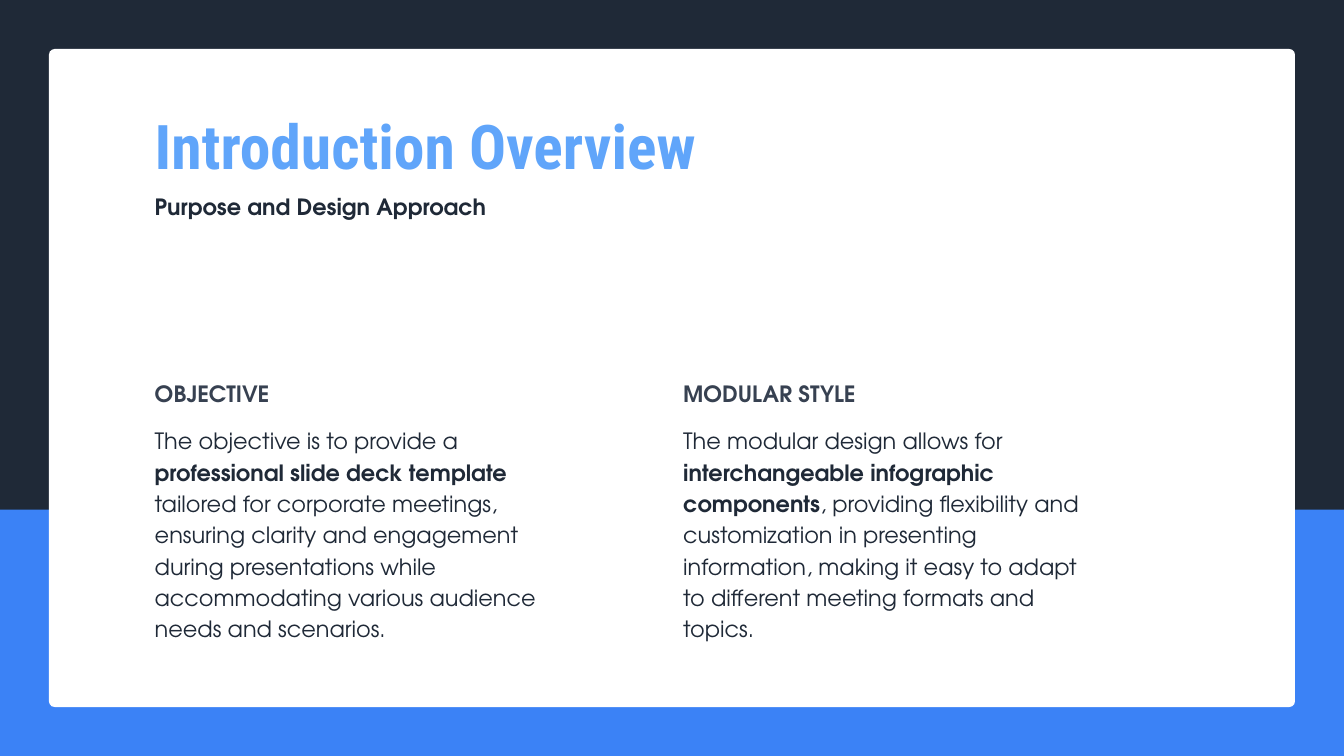
from dataclasses import dataclass

from pptx import Presentation
from pptx.dml.color import RGBColor
from pptx.enum.shapes import MSO_SHAPE
from pptx.enum.text import MSO_ANCHOR, MSO_AUTO_SIZE, PP_ALIGN
from pptx.oxml.ns import qn
from pptx.util import Pt

EMU = 9525  # one px at 96 px to the inch
WIDE, HIGH = 1920, 1080


@dataclass(frozen=True)
class Style:
    font: str
    size: int
    color: str
    bold: bool
    line: float


@dataclass(frozen=True)
class Theme:
    dark: str = "1F2937"
    band: str = "3B82F6"
    card: str = "FFFFFF"
    title: Style = Style("Roboto Condensed", 66, "60A5FA", True, 79.2)
    lead: Style = Style("TeX Gyre Adventor", 24, "1F2937", True, 33.6)
    head: Style = Style("TeX Gyre Adventor", 24, "374151", True, 33.6)
    body: Style = Style("TeX Gyre Adventor", 24, "1F2937", False, 33.6)


THEME = Theme()

# heading, body height, runs as (text, bold)
COLUMNS = [
    ("OBJECTIVE", 306, [
        ("The objective is to provide a ", False),
        ("professional slide deck template", True),
        (" tailored for corporate meetings, ensuring clarity and engagement "
         "during presentations while accommodating various audience needs "
         "and scenarios.", False)]),
    ("MODULAR STYLE", 262, [
        ("The modular design allows for ", False),
        ("interchangeable infographic components", True),
        (", providing flexibility and customization in presenting "
         "information, making it easy to adapt to different meeting formats "
         "and topics.", False)]),
]


def px(*values):
    return [value * EMU for value in values]


def place(shape, box):
    shape.left, shape.top, shape.width, shape.height = px(*box)


def write(shape, box, runs, style):
    """Fill a text shape with one plain, unbulleted paragraph."""
    place(shape, box)
    frame = shape.text_frame
    frame.word_wrap = True
    frame.auto_size = MSO_AUTO_SIZE.NONE
    frame.vertical_anchor = MSO_ANCHOR.TOP
    frame.margin_left = frame.margin_right = 0
    frame.margin_top = frame.margin_bottom = 0

    para = frame.paragraphs[0]
    para.alignment = PP_ALIGN.LEFT
    para.line_spacing = Pt(style.line)
    para.space_before = para.space_after = Pt(0)
    font = para.font
    font.name, font.size, font.bold = style.font, Pt(style.size), style.bold
    font.color.rgb = RGBColor.from_string(style.color)
    props = para._p.get_or_add_pPr()
    props.set("marL", "0")
    props.set("indent", "0")
    none = props.makeelement(qn("a:buNone"), {})
    props.insert_element_before(none, "a:tabLst", "a:defRPr", "a:extLst")

    for text, bold in runs:
        run = para.add_run()
        run.text = text
        run.font.bold = bold


def panel(slide, kind, box, color, layer):
    """Add a plain filled shape behind the text, at the given layer."""
    shape = slide.shapes.add_shape(kind, *px(*box))
    shape.shadow.inherit = False
    shape.fill.solid()
    shape.fill.fore_color.rgb = RGBColor.from_string(color)
    shape.line.fill.background()
    slide.shapes.element.insert(2 + layer, shape.element)
    return shape


def backdrop(slide, box):
    left, top, width, height = box
    fill = slide.background.fill
    fill.solid()
    fill.fore_color.rgb = RGBColor.from_string(THEME.dark)
    split, edge, radius = 728, 70, 8
    panel(slide, MSO_SHAPE.RECTANGLE,
          (left, top + split, width, height - split), THEME.band, 0)
    inner = height - 2 * edge
    card = panel(slide, MSO_SHAPE.ROUNDED_RECTANGLE,
                 (left + edge, top + edge, width - 2 * edge, inner),
                 THEME.card, 1)
    card.adjustments[0] = radius / inner


def header(slide, box, title, lead):
    left, top, width, _ = box
    write(slide.shapes.title, (left, top, width, 115),
          [(title, True)], THEME.title)
    write(slide.shapes.add_textbox(0, 0, 0, 0), (left, top + 116, width, 42),
          [(lead, True)], THEME.lead)


def column(head, body, box, label, runs):
    left, top, width, height = box
    write(head, (left, top, width, 42), [(label, True)], THEME.head)
    write(body, (left, top + 68, width, height), runs, THEME.body)


def main():
    deck = Presentation()
    deck.slide_width, deck.slide_height = px(WIDE, HIGH)
    slide = deck.slides.add_slide(deck.slide_layouts.get_by_name("Comparison"))
    backdrop(slide, (0, 0, WIDE, HIGH))

    left, pitch, width = 221, 755, 572
    header(slide, (left, 154, pitch + width, 158),
           "Introduction Overview", "Purpose and Design Approach")
    slots = {slot.placeholder_format.idx: slot for slot in slide.placeholders}
    for i, (label, height, runs) in enumerate(COLUMNS):
        column(slots[2 * i + 1], slots[2 * i + 2],
               (left + i * pitch, 536, width, height), label, runs)
    deck.save("out.pptx")


if __name__ == "__main__":
    main()
